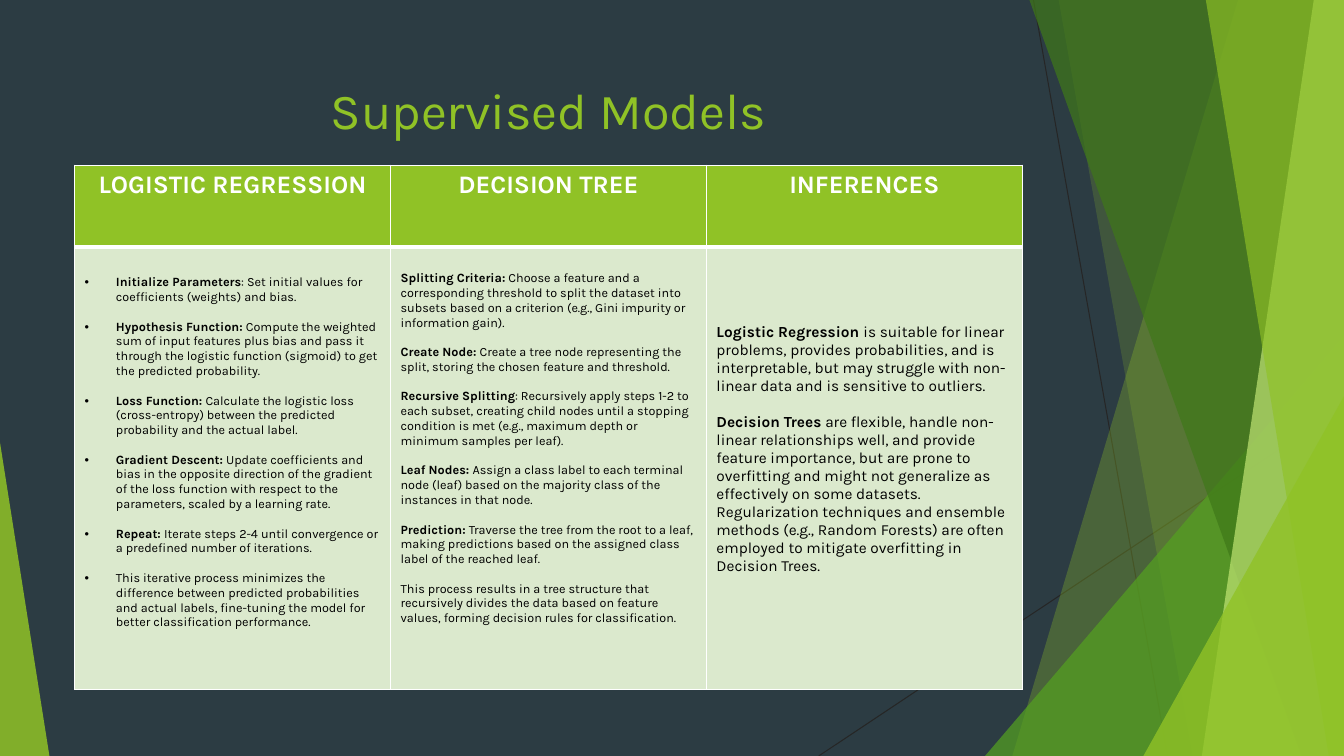
from dataclasses import dataclass

from lxml.etree import SubElement
from pptx import Presentation
from pptx.dml.color import RGBColor
from pptx.enum.shapes import MSO_CONNECTOR, MSO_SHAPE
from pptx.enum.text import MSO_ANCHOR, MSO_AUTO_SIZE, PP_ALIGN
from pptx.oxml import parse_xml
from pptx.oxml.ns import nsdecls, qn
from pptx.util import Inches, Pt

WIDTH, HEIGHT = 13.33, 7.5


@dataclass(frozen=True)
class Theme:
    font: str = "Karla"
    background: str = "2C3C43"
    accent: str = "90C226"
    green: str = "54A021"
    forest: str = "3F7819"
    lime: str = "C0E474"
    pale: str = "DBE9CD"
    hairline: str = "262626"
    white: str = "FFFFFF"
    black: str = "000000"
    title_size: float = 36
    header_size: float = 18
    step_size: float = 9
    inference_size: float = 11
    blank_line: float = 1.17  # line height of the font


@dataclass(frozen=True)
class Column:
    header: str
    size: float
    top: float
    bulleted: bool
    entries: list


THEME = Theme()

COLUMNS = [
    Column("LOGISTIC REGRESSION", THEME.step_size, 0.28, True, [
        ("Initialize Parameters", ": Set initial values for coefficients (weights) and bias."),
        ("Hypothesis Function: ", "Compute the weighted sum of input features plus bias and pass it "
         "through the logistic function (sigmoid) to get the predicted probability."),
        ("Loss Function: ", "Calculate the logistic loss (cross-entropy) between the predicted "
         "probability and the actual label."),
        ("Gradient Descent: ", "Update coefficients and bias in the opposite direction of the "
         "gradient of the loss function with respect to the parameters, scaled by a learning rate."),
        ("Repeat: ", "Iterate steps 2-4 until convergence or a predefined number of iterations."),
        ("", "This iterative process minimizes the difference between predicted probabilities and "
         "actual labels, fine-tuning the model for better classification performance."),
    ]),
    Column("DECISION TREE", THEME.step_size, 0.24, False, [
        ("Splitting Criteria: ", "Choose a feature and a corresponding threshold to split the "
         "dataset into subsets based on a criterion (e.g., Gini impurity or information gain)."),
        ("Create Node: ", "Create a tree node representing the split, storing the chosen feature "
         "and threshold."),
        ("Recursive Splitting", ": Recursively apply steps 1-2 to each subset, creating child nodes "
         "until a stopping condition is met (e.g., maximum depth or minimum samples per leaf)."),
        ("Leaf Nodes: ", "Assign a class label to each terminal node (leaf) based on the majority "
         "class of the instances in that node."),
        ("Prediction: ", "Traverse the tree from the root to a leaf, making predictions based on "
         "the assigned class label of the reached leaf."),
        ("", "This process results in a tree structure that recursively divides the data based on "
         "feature values, forming decision rules for classification."),
    ]),
    Column("INFERENCES", THEME.inference_size, 0.76, False, [
        ("Logistic Regression ", "is suitable for linear problems, provides probabilities, and is "
         "interpretable, but may struggle with non-linear data and is sensitive to outliers."),
        ("Decision Trees", " are flexible, handle non-linear relationships well, and provide "
         "feature importance, but are prone to overfitting and might not generalize as effectively "
         "on some datasets. Regularization techniques and ensemble methods (e.g., Random Forests) "
         "are often employed to mitigate overfitting in Decision Trees."),
    ]),
]


class SlideBuilder:
    def __init__(self, slide, theme):
        self.slide = slide
        self.theme = theme
        self.paint(slide.background.fill, theme.background)

    @staticmethod
    def paint(fill, color, opacity=100):
        fill.solid()
        fill.fore_color.rgb = RGBColor.from_string(color)
        if opacity < 100:
            for element in fill._xPr.iter(qn("a:srgbClr")):
                SubElement(element, qn("a:alpha"), val=str(opacity * 1000))

    @staticmethod
    def set_values(target, values):
        for name, value in values.items():
            setattr(target, name, value)

    def add_run(self, paragraph, text, size, color, bold=False):
        run = paragraph.add_run()
        run.text = text
        self.set_values(run.font, {"name": self.theme.font, "size": Pt(size), "bold": bold})
        self.paint(run.font.fill, color)

    def add_line(self, start, end):
        line = self.slide.shapes.add_connector(
            MSO_CONNECTOR.STRAIGHT, *map(Inches, (*start, *end)))
        line.line.width = Pt(0.75)
        self.paint(line.line.fill, self.theme.hairline)
        SubElement(line._element.spPr, qn("a:effectLst"))

    def finish_facet(self, shape, color, opacity):
        shape.shadow.inherit = False
        shape.line.fill.background()
        self.paint(shape.fill, color, opacity)

    def add_band(self, top_left, bottom_left, color, opacity):
        """Full-height facet from a slanted left edge to the right slide edge."""
        points = [(WIDTH, 0), (WIDTH, HEIGHT), (bottom_left, HEIGHT)]
        builder = self.slide.shapes.build_freeform(Inches(top_left), 0)
        builder.add_line_segments([(Inches(x), Inches(y)) for x, y in points])
        self.finish_facet(builder.convert_to_shape(), color, opacity)

    def add_corner(self, left, top, width, apex, color, opacity):
        """Triangle standing on the bottom edge of the slide."""
        shape = self.slide.shapes.add_shape(
            MSO_SHAPE.ISOSCELES_TRIANGLE, *map(Inches, (left, top, width, HEIGHT - top)))
        shape.adjustments[0] = apex
        self.finish_facet(shape, color, opacity)

    def set_title(self, text, left, top, width, height):
        title = self.slide.shapes.title
        box = zip(("left", "top", "width", "height"), map(Inches, (left, top, width, height)))
        self.set_values(title, dict(box))
        self.set_values(title.text_frame, {
            "word_wrap": True, "auto_size": MSO_AUTO_SIZE.NONE,
            "vertical_anchor": MSO_ANCHOR.MIDDLE})
        paragraph = title.text_frame.paragraphs[0]
        paragraph.alignment = PP_ALIGN.CENTER
        self.add_run(paragraph, text, self.theme.title_size, self.theme.accent)

    def format_cell(self, cell, color, top_margin, top_line, bottom_line):
        self.paint(cell.fill, color)
        self.set_values(cell, {"margin_top": Inches(top_margin), "vertical_anchor": MSO_ANCHOR.TOP})
        properties = cell._tc.get_or_add_tcPr()
        borders = {"lnL": 1, "lnR": 1, "lnT": top_line, "lnB": bottom_line}
        for index, (tag, width) in enumerate(borders.items()):
            properties.insert(index, parse_xml(
                f'<a:{tag} {nsdecls("a")} w="{Pt(width)}"><a:solidFill>'
                f'<a:srgbClr val="{self.theme.white}"/></a:solidFill></a:{tag}>'))

    @staticmethod
    def add_bullet(paragraph):
        properties = paragraph._p.get_or_add_pPr()
        properties.set("marL", str(Inches(0.31)))
        properties.set("indent", str(-Inches(0.31)))
        SubElement(properties, qn("a:buFont"), typeface="Arial")
        SubElement(properties, qn("a:buChar"), char="•")

    def fill_entries(self, text_frame, column):
        for index, (lead, detail) in enumerate(column.entries):
            paragraph = text_frame.add_paragraph() if index else text_frame.paragraphs[0]
            if index:
                paragraph.space_before = Pt(column.size * self.theme.blank_line)
            if column.bulleted:
                self.add_bullet(paragraph)
            if lead:
                self.add_run(paragraph, lead, column.size, self.theme.black, bold=True)
            self.add_run(paragraph, detail, column.size, self.theme.black)

    def add_comparison(self, columns, left, top, width, row_heights):
        box = map(Inches, (left, top, width, sum(row_heights)))
        table = self.slide.shapes.add_table(len(row_heights), len(columns), *box).table
        table.horz_banding = False
        for row, height in zip(table.rows, row_heights):
            row.height = Inches(height)
        for index, column in enumerate(columns):
            table.columns[index].width = Inches(width / len(columns))
            header, body = table.cell(0, index), table.cell(1, index)
            self.format_cell(header, self.theme.accent, 0.05, 1, 3)
            self.format_cell(body, self.theme.pale, column.top, 3, 1)
            paragraph = header.text_frame.paragraphs[0]
            paragraph.alignment = PP_ALIGN.CENTER
            self.add_run(paragraph, column.header, self.theme.header_size, self.theme.white, True)
            self.fill_entries(body.text_frame, column)


def main():
    presentation = Presentation()
    presentation.slide_width, presentation.slide_height = Inches(WIDTH), Inches(HEIGHT)
    slide = presentation.slides.add_slide(presentation.slide_layouts[5])
    builder = SlideBuilder(slide, THEME)

    builder.add_line((10.25, 0), (11.58, HEIGHT))
    builder.add_line((WIDTH, 4.03), (8.12, HEIGHT))
    builder.add_band(12.28, 10.04, THEME.accent, 30)
    builder.add_band(10.5, 11.83, THEME.accent, 20)
    builder.add_corner(9.77, 3.33, 3.56, 1, THEME.green, 72)
    builder.add_band(10.21, 12.91, THEME.forest, 70)
    builder.add_band(13.03, 11.92, THEME.lime, 70)
    builder.add_band(11.96, 13.18, THEME.accent, 65)
    builder.add_corner(11.34, 3.93, 1.99, 1, THEME.accent, 80)
    builder.add_corner(0, 4.39, 0.49, 0, THEME.accent, 85)

    builder.set_title("Supervised Models", 0.74, 0.67, 9.4, 0.82)
    builder.add_comparison(COLUMNS, 0.74, 1.64, 9.4, (0.81, 4.39))
    presentation.save("out.pptx")


if __name__ == "__main__":
    main()
